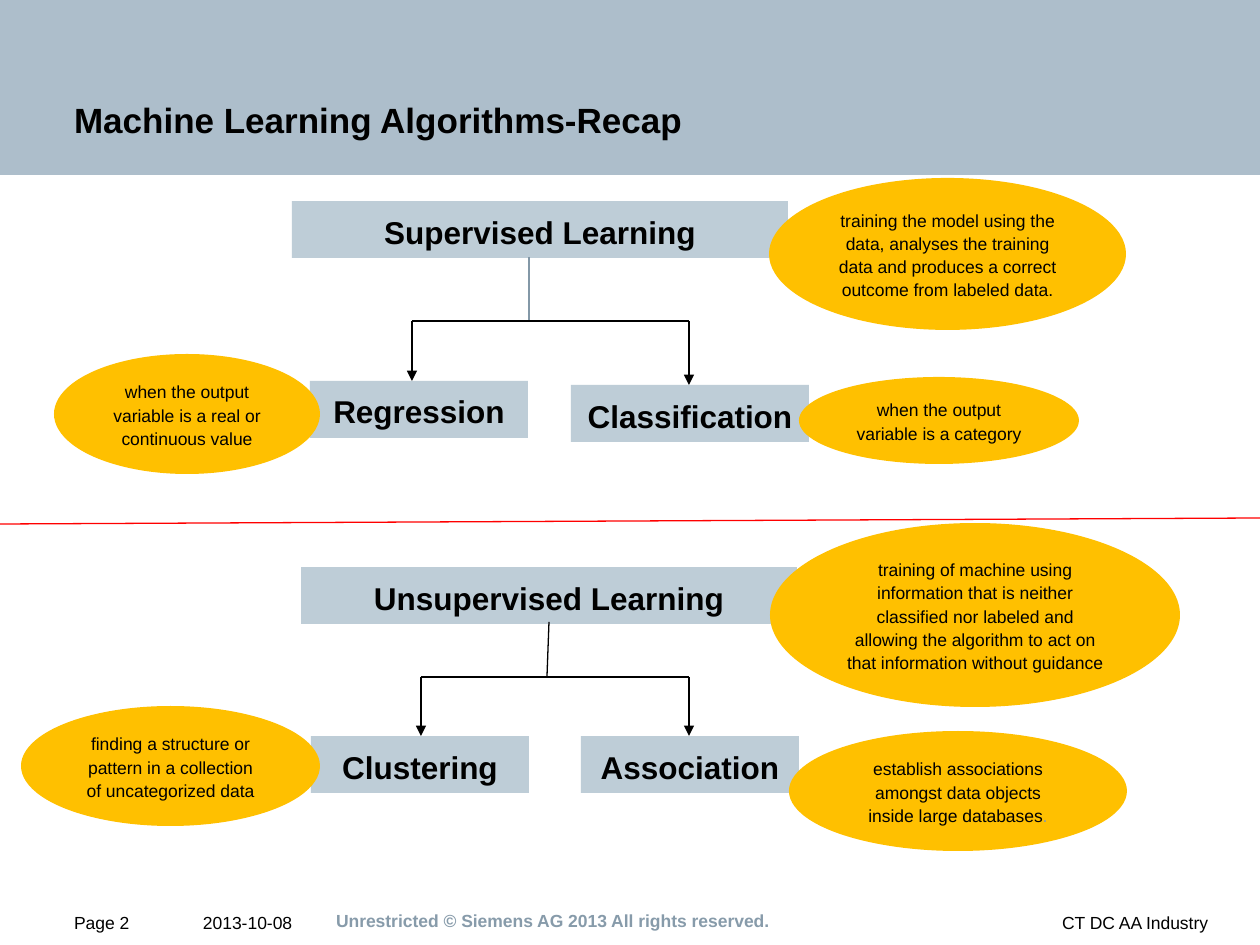
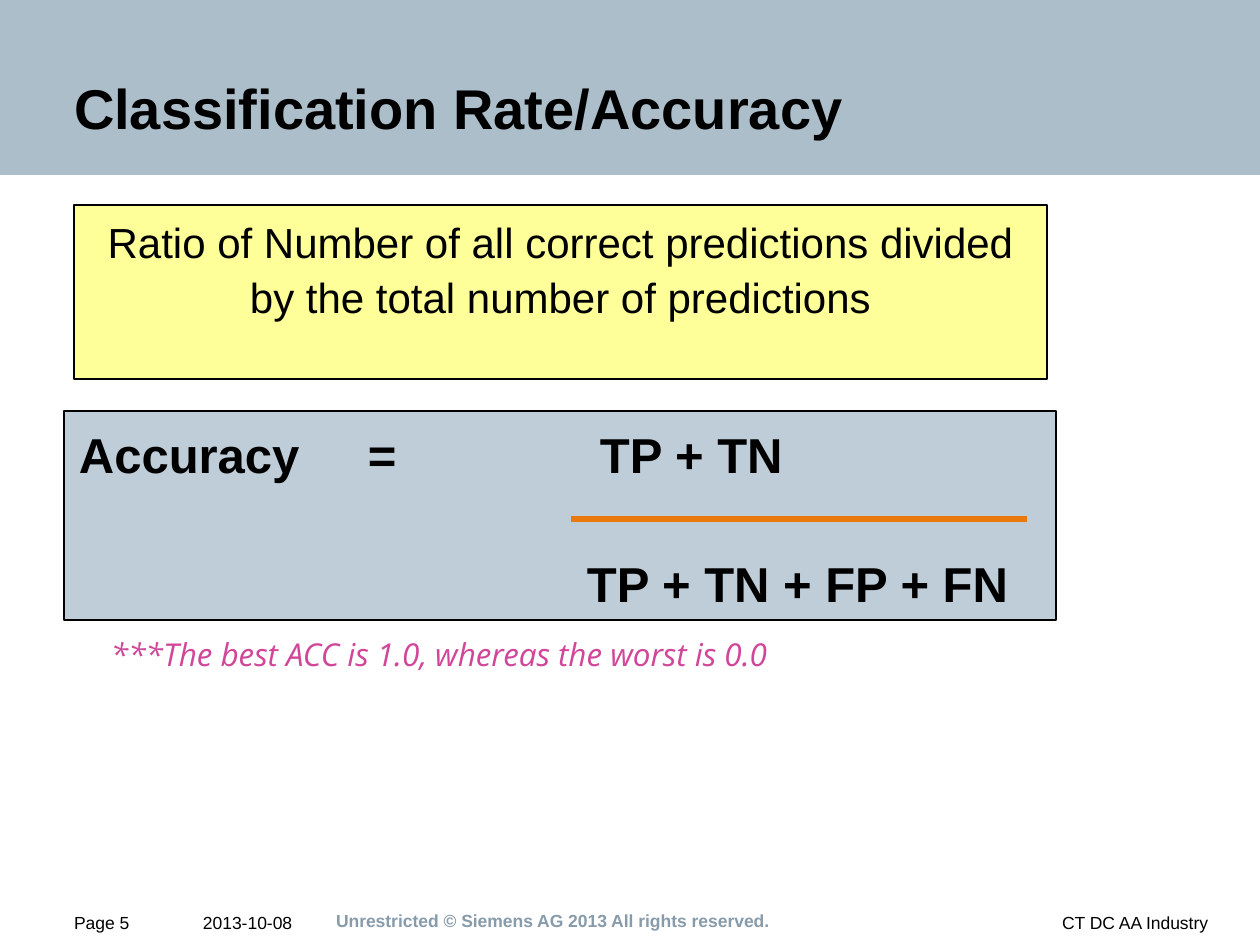
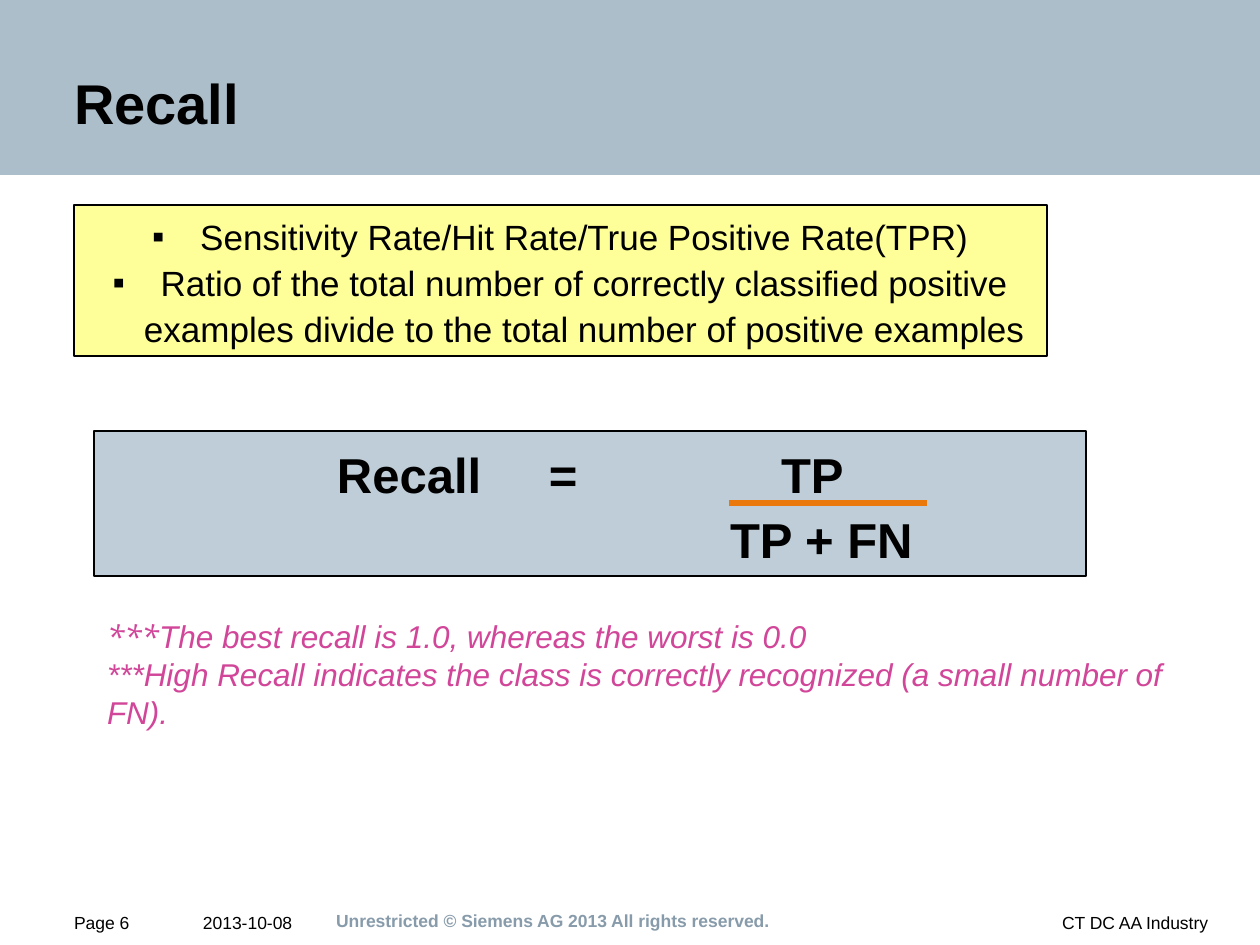
from collections import namedtuple
from dataclasses import dataclass

from lxml.etree import SubElement
from pptx import Presentation
from pptx.dml.color import RGBColor
from pptx.enum.shapes import MSO_CONNECTOR, MSO_SHAPE
from pptx.enum.text import MSO_ANCHOR, MSO_AUTO_SIZE, PP_ALIGN
from pptx.oxml.ns import qn
from pptx.util import Emu, Pt

PX = 914400 / 126
Box = namedtuple("Box", "left top width height")
Span = namedtuple("Span", "text format")


@dataclass(frozen=True)
class Theme:
    font: str = "Arial"
    note_font: str = "Open Sans"
    ink: str = "000000"
    muted: str = "879BAA"
    stem: str = "8398A7"
    band: str = "ADBECB"
    panel: str = "BECDD7"
    bubble: str = "FFC000"
    definition: str = "FFFF99"
    note: str = "D14699"
    fraction: str = "EB780A"
    divider: str = "FF0000"
    small: int = 10
    label: int = 18
    body: int = 20
    lead: int = 24
    formula: int = 28
    title: int = 32
    spacing: float = 1.1
    thin: float = 0.75
    thick: float = 3


THEME = Theme()
PAGE = Box(0, 0, 1260, 945)
PANEL_INSETS = (15, 8, 15, 8)
TEXT_INSETS = (13, 6, 13, 6)


def px(length):
    return Emu(round(length * PX))


def inside(box, left, top, width, height):
    """Turn a place relative to box into a place on the page."""
    return Box(box.left + left, box.top + top, width, height)


def place(shape, box):
    shape.left, shape.top, shape.width, shape.height = map(px, box)


def add_span(para, text, size=THEME.small, color=THEME.ink, font=THEME.font, bold=False, italic=False):
    span = para.add_run()
    span.text = text
    span.font.name, span.font.size = font, Pt(size)
    span.font.bold, span.font.italic = bold, italic
    span.font.color.rgb = RGBColor.from_string(color)


def add_bullet(para, hang=48):
    props = para._p.get_or_add_pPr()
    props.set("marL", str(px(hang)))
    props.set("indent", str(-px(hang)))
    color = SubElement(props, qn("a:buClr"))
    SubElement(color, qn("a:srgbClr"), val=THEME.ink)
    SubElement(props, qn("a:buFont"), typeface=THEME.font)
    SubElement(props, qn("a:buChar"), char="▪")


def add_tabs(para, offsets):
    tab_list = SubElement(para._p.get_or_add_pPr(), qn("a:tabLst"))
    for offset in offsets:
        SubElement(tab_list, qn("a:tab"), pos=str(px(offset)), algn="l")


def write(shape, *lines, insets=TEXT_INSETS, anchor=MSO_ANCHOR.TOP, align=PP_ALIGN.LEFT,
          spacing=None, bullets=False, **format):
    """Write one paragraph per line; a line is a string or a list of spans."""
    frame = shape.text_frame
    frame.word_wrap, frame.auto_size = True, MSO_AUTO_SIZE.NONE
    frame.vertical_anchor = anchor
    (frame.margin_left, frame.margin_top,
     frame.margin_right, frame.margin_bottom) = map(px, insets)
    for index, line in enumerate(lines):
        para = frame.add_paragraph() if index else frame.paragraphs[0]
        if bullets:
            add_bullet(para)
        para.alignment = align
        if spacing:
            para.line_spacing = spacing
        for span in [Span(line, {})] if isinstance(line, str) else line:
            add_span(para, span.text, **{**format, **span.format})


def add_text_box(page, box, *lines, **format):
    shape = page.shapes.add_textbox(*map(px, box))
    write(shape, *lines, **format)


def add_block(page, box, fill, kind=MSO_SHAPE.RECTANGLE, outline=False):
    shape = page.shapes.add_shape(kind, *map(px, box))
    shape.shadow.inherit = False
    shape.fill.solid()
    shape.fill.fore_color.rgb = RGBColor.from_string(fill)
    if outline:
        shape.line.color.rgb = RGBColor.from_string(THEME.ink)
        shape.line.width = Pt(THEME.thin)
    else:
        shape.line.fill.background()
    return shape


def add_line(page, start, end, color=THEME.ink, width=THEME.thin, arrow=False):
    line = page.shapes.add_connector(MSO_CONNECTOR.STRAIGHT, *map(px, (*start, *end)))
    line.line.color.rgb = RGBColor.from_string(color)
    line.line.width = Pt(width)
    if arrow:
        SubElement(line.line._get_or_add_ln(), qn("a:tailEnd"), type="triangle")
    SubElement(line._element.spPr, qn("a:effectLst"))


def add_footer(page, number):
    row = Box(0, 910, 1260, 35)
    style = dict(spacing=THEME.spacing)
    add_text_box(page, inside(row, 0, 0, 352, 35), "2013-10-08", insets=(203, 0, 0, 16), **style)
    add_text_box(page, inside(row, 262, -29, 814, 59),
                 "Unrestricted © Siemens AG 2013 All rights reserved.",
                 insets=(74, 20, 292, 0), anchor=MSO_ANCHOR.MIDDLE, color=THEME.muted, bold=True)
    add_text_box(page, inside(row, 0, 0, 173, 35), f"Page {number}", insets=(74, 0, 0, 16), **style)
    add_text_box(page, inside(row, 372, 0, 888, 35), "CT DC AA Industry",
                 insets=(0, 0, 52, 16), align=PP_ALIGN.RIGHT, **style)


def add_page(deck, title, number, size=THEME.title, title_top=0):
    """Add a page with its band, title and footer."""
    page = deck.slides.add_slide(deck.slide_layouts[5])
    band = add_block(page, inside(PAGE, 0, 0, 1260, 175), THEME.band)
    page.shapes.element.insert(2, band._element)
    place(page.shapes.title, inside(PAGE, 0, title_top, 1260, 174))
    write(page.shapes.title, title, insets=(74, 54, 292, 33),
          anchor=MSO_ANCHOR.BOTTOM, size=size, bold=True)
    add_footer(page, number)
    return page


def add_tree(page, box, head, stem, branch_xs, leaves, bubbles, stem_color=THEME.ink):
    """Draw a learning type, its two branches and the bubbles that explain them."""
    def point(x, y):
        return box.left + x, box.top + y

    def add_label(text, area, fill=THEME.panel, kind=MSO_SHAPE.RECTANGLE, **format):
        shape = add_block(page, inside(box, *area), fill, kind)
        write(shape, text, insets=PANEL_INSETS, anchor=MSO_ANCHOR.MIDDLE,
              align=PP_ALIGN.CENTER, spacing=THEME.spacing, **format)

    add_label(*head, size=THEME.label, bold=True)
    bar_y = stem[1][1]
    add_line(page, point(*stem[0]), point(*stem[1]), stem_color)
    add_line(page, *(point(x, bar_y) for x in branch_xs))
    for x, (text, area) in zip(branch_xs, leaves):
        add_line(page, point(x, bar_y), point(x, area[1]), arrow=True)
        add_label(text, area, size=THEME.label, bold=True)
    for text, area in bubbles:
        add_label(text, area, THEME.bubble, MSO_SHAPE.OVAL)


def add_definition(page, box, *lines, **format):
    shape = add_block(page, box, THEME.definition, outline=True)
    write(shape, *lines, align=PP_ALIGN.CENTER, spacing=THEME.spacing, **format)


def add_formula(page, box, rows, bar, row_gap=0):
    """Set rows of (offset, text) cells on tab stops, with a fraction bar (x, y, width)."""
    panel = add_block(page, box, THEME.panel, outline=True)
    lines = ["".join(("\t" if offset else "") + text for offset, text in row) for row in rows]
    write(panel, *lines, insets=PANEL_INSETS, anchor=MSO_ANCHOR.MIDDLE,
          spacing=THEME.spacing, size=THEME.formula, bold=True)
    for index, (para, row) in enumerate(zip(panel.text_frame.paragraphs, rows)):
        add_tabs(para, [offset for offset, _ in row if offset])
        if index and row_gap:
            para.space_before = Pt(row_gap)
    x, y, width = bar
    start = box.left + x, box.top + y
    add_line(page, start, (start[0] + width, start[1]), THEME.fraction, THEME.thick)


def add_notes_text(page, box, *lines, **format):
    add_text_box(page, box, *lines, size=THEME.label, color=THEME.note, italic=True, **format)


def build_recap(deck):
    page = add_page(deck, "Machine Learning Algorithms-Recap", 2, size=THEME.body)
    add_tree(
        page, Box(0, 175, 1260, 345),
        head=("Supervised Learning", (292, 26, 496, 57)),
        stem=((529, 82), (529, 146)), stem_color=THEME.stem,
        branch_xs=(412, 689),
        leaves=[("Regression", (310, 206, 218, 57)),
                ("Classification", (571, 210, 238, 57))],
        bubbles=[("training the model using the data, analyses the training data "
                  "and produces a correct outcome from labeled data.", (769, 3, 357, 152)),
                 ("when the output variable is a real or continuous value", (54, 179, 266, 120)),
                 ("when the output variable is a category", (799, 202, 280, 87))])
    add_tree(
        page, Box(0, 520, 1260, 345),
        head=("Unsupervised Learning", (301, 47, 496, 57)),
        stem=((549, 102), (547, 157)),
        branch_xs=(421, 689),
        leaves=[("Clustering", (311, 216, 218, 57)),
                ("Association", (581, 216, 218, 57))],
        bubbles=[("training of machine using information that is neither classified nor "
                  "labeled and allowing the algorithm to act on that information "
                  "without guidance", (770, 3, 410, 184)),
                 ([Span("establish associations amongst data objects inside large databases", {}),
                   Span(".", {"color": THEME.muted})], (789, 211, 338, 120)),
                 ("finding a structure or pattern in a collection of uncategorized data",
                  (21, 186, 299, 120))])
    add_line(page, (0, 524), (1260, 518), THEME.divider)


def build_accuracy(deck):
    page = add_page(deck, "Classification Rate/Accuracy", 5)
    add_formula(page, Box(64, 411, 992, 209),
                rows=[[(0, "Accuracy"), (289, "="), (521, "TP + TN")],
                      [(508, "TP + TN + FP + FN")]],
                bar=(507, 108, 456), row_gap=37)
    add_definition(page, Box(74, 205, 973, 174),
                   "Ratio of Number of all correct predictions divided by the total "
                   "number of predictions", size=THEME.lead)
    add_notes_text(page, Box(98, 629, 694, 50),
                   "***The best ACC is 1.0, whereas the worst is 0.0", font=THEME.note_font)


def build_recall(deck):
    page = add_page(deck, "Recall", 6, title_top=-5)
    add_formula(page, Box(94, 431, 992, 145),
                rows=[[(228, "Recall"), (440, "="), (672, "TP")],
                      [(621, "TP + FN")]],
                bar=(635, 72, 198))
    add_definition(page, Box(74, 205, 973, 151),
                   "Sensitivity Rate/Hit Rate/True Positive Rate(TPR)",
                   "Ratio of the total number of correctly classified positive examples "
                   "divide to the total number of positive examples",
                   size=THEME.body, bullets=True)
    add_notes_text(page, Box(94, 611, 1151, 88),
                   [Span("***", {"font": THEME.note_font}),
                    Span("The best recall is 1.0, whereas the worst is 0.0", {})],
                   "***High Recall indicates the class is correctly recognized "
                   "(a small number of FN).")


def main():
    deck = Presentation()
    deck.slide_width, deck.slide_height = px(PAGE.width), px(PAGE.height)
    for build in (build_recap, build_accuracy, build_recall):
        build(deck)
    deck.save("out.pptx")


if __name__ == "__main__":
    main()
